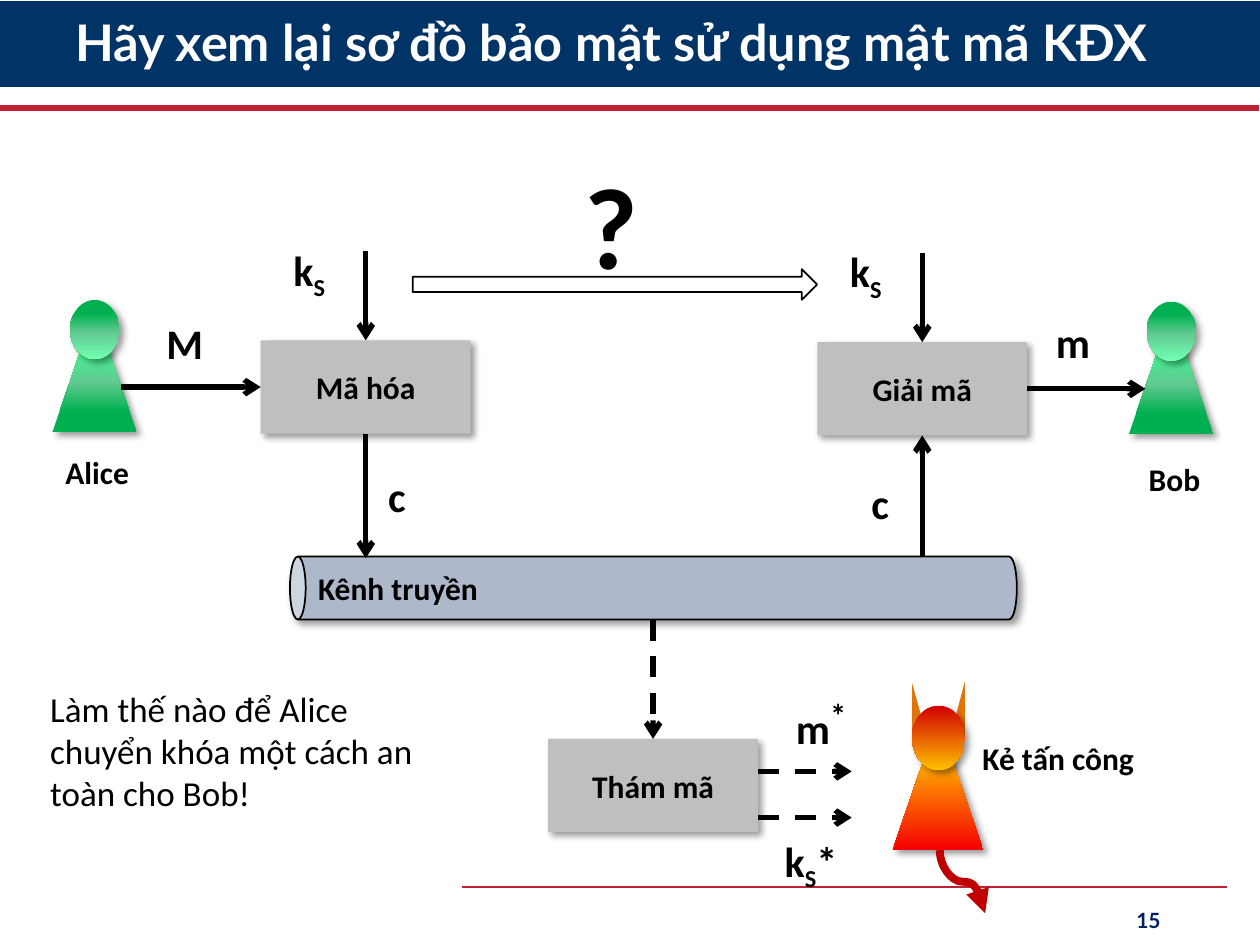
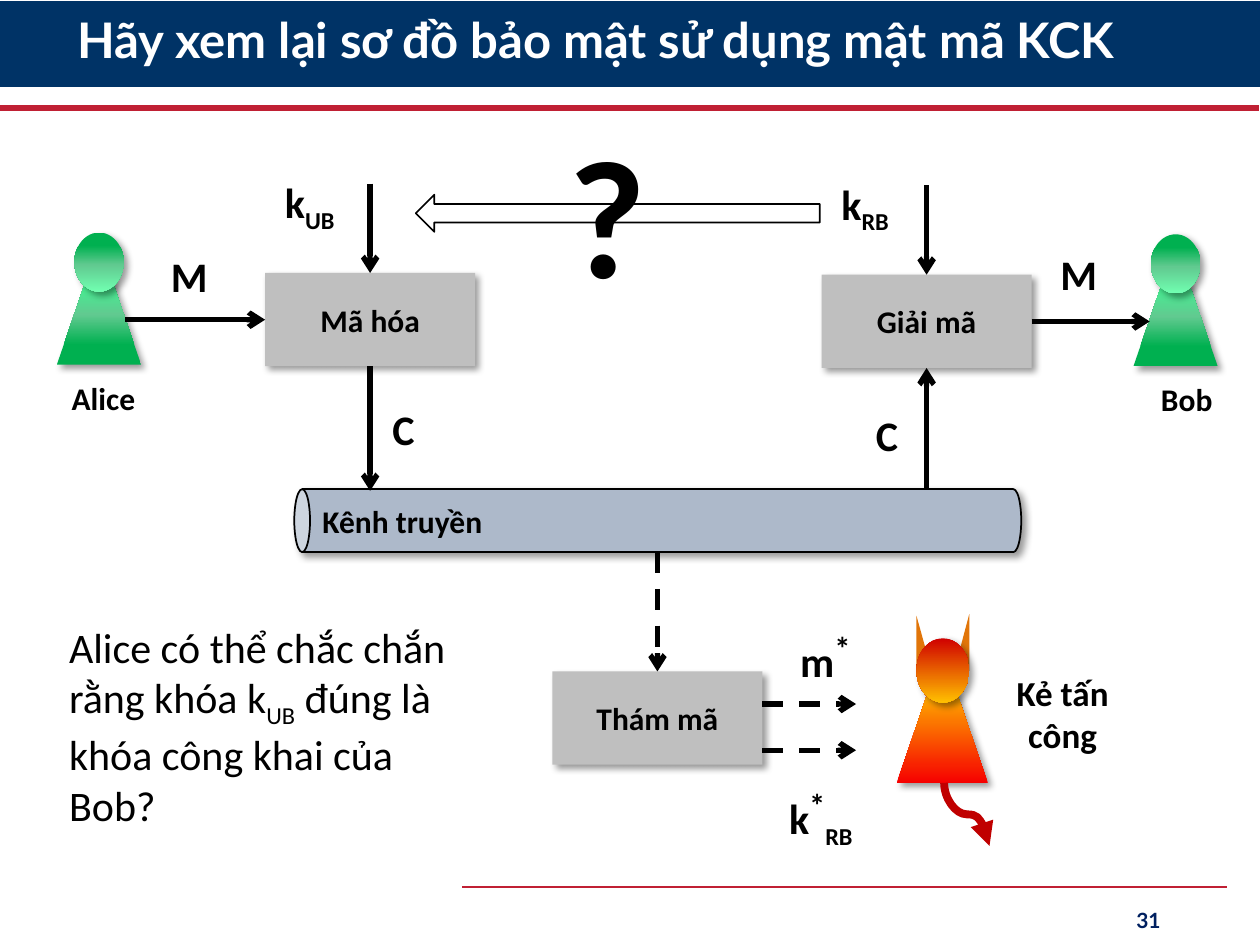
from pptx import Presentation
from pptx.dml.color import RGBColor
from pptx.enum.dml import MSO_LINE
from pptx.enum.shapes import MSO_CONNECTOR as Connector, MSO_SHAPE as Preset
from pptx.enum.text import MSO_ANCHOR as Anchor, PP_ALIGN as Align
from pptx.oxml import parse_xml
from pptx.oxml.ns import nsdecls, qn
from pptx.util import Pt

NAVY = RGBColor(0x00, 0x33, 0x66)
RED = RGBColor(0xC0, 0x20, 0x34)
NUMBER_BLUE = RGBColor(0x00, 0x20, 0x60)
WHITE = RGBColor(0xFF, 0xFF, 0xFF)
BLACK = RGBColor(0x00, 0x00, 0x00)
GRAY = RGBColor(0xBF, 0xBF, 0xBF)
CHANNEL_BLUE = RGBColor(0xAD, 0xB9, 0xCA)
HORN_ORANGE = RGBColor(0xE1, 0x75, 0x09)
TAIL_RED = RGBColor(0xC0, 0x00, 0x00)
GREEN = RGBColor(0x00, 0xB0, 0x50)
PALE_GREEN = RGBColor(0x61, 0xCA, 0x90)
BODY_MINT = RGBColor(0x3B, 0xFF, 0x94)
HEAD_MINT = RGBColor(0x71, 0xFF, 0xB1)
BODY_RED = RGBColor(0xF6, 0x00, 0x00)
HEAD_RED = RGBColor(0xD0, 0x00, 0x00)
GOLD = RGBColor(0xFF, 0xC0, 0x00)

PERSON_BODY = [(22, GREEN), (55, PALE_GREEN), (100, BODY_MINT)]
PERSON_HEAD = [(22, GREEN), (55, PALE_GREEN), (100, HEAD_MINT)]
ATTACKER_BODY = [(0, BODY_RED), (100, GOLD)]
ATTACKER_HEAD = [(0, HEAD_RED), (100, GOLD)]

BODY_FONT = "Calibri"
TITLE_FONT = "Lato"
BOX_WIDTH, BOX_HEIGHT = 120, 53.3
SUB, SUPER = -25, 30


def add_runs(paragraph, runs, size, color=BLACK, bold=True, font=BODY_FONT):
    for text, baseline, run_size in runs:
        run = paragraph.add_run()
        run.text = text
        run.font.name = font
        run.font.size = Pt(run_size or size)
        run.font.bold = bold
        run.font.color.rgb = color
        if baseline:
            run._r.get_or_add_rPr().set("baseline", str(baseline * 1000))


def plain(text):
    return [(text, 0, None)]


def add_text(slide, box, runs, size, align=Align.LEFT, anchor=Anchor.TOP, **style):
    shape = slide.shapes.add_textbox(*map(Pt, box))
    frame = shape.text_frame
    frame.word_wrap = True
    frame.vertical_anchor = anchor
    paragraph = frame.paragraphs[0]
    paragraph.alignment = align
    add_runs(paragraph, runs, size, **style)
    return paragraph


def add_shadow(shape):
    effects = shape._element.spPr.find(qn("a:effectLst"))
    effects.append(parse_xml(
        f'<a:outerShdw {nsdecls("a")} blurRad="{Pt(4)}" dist="{Pt(3)}" dir="2700000" '
        'algn="tl" rotWithShape="0"><a:srgbClr val="000000"><a:alpha val="40000"/>'
        '</a:srgbClr></a:outerShdw>'))


def fill_gradient(shape, stops, angle):
    shape.fill.gradient()
    properties = shape._element.spPr
    marks = "".join(f'<a:gs pos="{position * 1000}"><a:srgbClr val="{color}"/></a:gs>'
                    for position, color in stops)
    properties.replace(properties.find(qn("a:gradFill")), parse_xml(
        f'<a:gradFill {nsdecls("a")} rotWithShape="1"><a:gsLst>{marks}</a:gsLst>'
        f'<a:lin ang="{angle * 60000}" scaled="0"/></a:gradFill>'))


def add_preset(slide, preset, box, fill=None, outline=None, shadow=False):
    shape = slide.shapes.add_shape(preset, *map(Pt, box))
    shape.shadow.inherit = False
    if fill is None:
        shape.fill.background()
    else:
        shape.fill.solid()
        shape.fill.fore_color.rgb = fill
    if outline is None:
        shape.line.fill.background()
    else:
        shape.line.color.rgb = outline
        shape.line.width = Pt(1)
    if shadow:
        add_shadow(shape)
    return shape


def add_line(slide, start, end, color=BLACK, width=3, head=None, dashed=False,
             kind=Connector.STRAIGHT):
    line = slide.shapes.add_connector(kind, *map(Pt, start + end))
    line.line.color.rgb = color
    line.line.width = Pt(width)
    if dashed:
        line.line.dash_style = MSO_LINE.DASH
    if head:
        line.line._get_or_add_ln().append(
            parse_xml(f'<a:tailEnd {nsdecls("a")} type="{head}"/>'))
    line._element.spPr.append(parse_xml(f'<a:effectLst {nsdecls("a")}/>'))
    return line


def add_frame(slide, title, title_box, title_size, number):
    add_preset(slide, Preset.RECTANGLE, (0, 0.7, 720, 49), NAVY)
    add_line(slide, (-0.7, 61.9), (719.3, 61.9), RED, 3.5)
    add_line(slide, (264.2, 506.9), (701.3, 506.9), RED, 1.5)
    paragraph = add_text(slide, title_box, plain(title), title_size,
                         anchor=Anchor.MIDDLE, color=WHITE, font=TITLE_FONT)
    paragraph.line_spacing = 0.9
    add_text(slide, (508.3, 511.2, 162, 28.8), plain(number), 12, Align.RIGHT,
             Anchor.MIDDLE, color=NUMBER_BLUE, font=TITLE_FONT)


def add_gradient_part(slide, preset, box, stops, angle):
    shape = add_preset(slide, preset, box, GREEN, shadow=True)
    fill_gradient(shape, stops, angle)
    if preset == Preset.TRAPEZOID:
        shape.adjustments[0] = 0.371


def add_person(slide, left, top):
    add_gradient_part(slide, Preset.TRAPEZOID, (left, top + 23.7, 48.2, 51.8), PERSON_BODY, 270)
    add_gradient_part(slide, Preset.OVAL, (left + 10, top, 28.2, 33.8), PERSON_HEAD, 90)


def add_attacker(slide, left, top):
    add_preset(slide, Preset.RIGHT_TRIANGLE, (left + 11.2, top + 1, 8.6, 31), HORN_ORANGE)
    horn = add_preset(slide, Preset.RIGHT_TRIANGLE, (left + 32.8, top, 8.6, 32.4), HORN_ORANGE)
    horn._element.spPr.xfrm.set("flipH", "1")
    add_gradient_part(slide, Preset.TRAPEZOID, (left, top + 40.3, 52, 56.2), ATTACKER_BODY, 270)
    add_gradient_part(slide, Preset.OVAL, (left + 11.2, top + 13.9, 30.2, 36.7), ATTACKER_HEAD, 90)
    tail = add_line(slide, (left + 22, top + 101.5), (left + 58, top + 127.4),
                    TAIL_RED, 4.5, "triangle", kind=Connector.CURVE)
    transform = tail._element.spPr.xfrm
    transform.set("rot", "16200000")
    transform.set("flipH", "1")


def add_process(slide, left, top, name):
    shape = add_preset(slide, Preset.RECTANGLE, (left, top, BOX_WIDTH, BOX_HEIGHT),
                       GRAY, shadow=True)
    paragraph = shape.text_frame.paragraphs[0]
    paragraph.alignment = Align.CENTER
    add_runs(paragraph, plain(name), 18)


def add_channel(slide, left, top, width, height):
    shift = (width - height) / 2
    shape = add_preset(slide, Preset.CAN, (left + shift, top - shift, height, width),
                       CHANNEL_BLUE, BLACK, True)
    shape.rotation = 270
    frame = shape.text_frame
    frame._txBody.bodyPr.set("vert", "eaVert")
    paragraph = frame.paragraphs[0]
    paragraph.alignment = Align.CENTER
    add_runs(paragraph, plain("Kênh truyền"), 18)


def add_cipher_diagram(slide, left, top, letters, names, attacker_size):
    def at(x, y):
        return left + x, top + y

    add_person(slide, *at(0, 28.4))
    add_person(slide, *at(615.2, 29.4))
    add_process(slide, *at(119, 51.5), "Mã hóa")
    add_process(slide, *at(437, 52.5), "Giải mã")
    add_channel(slide, *at(135.7, 175), 415.4, 36)
    add_process(slide, *at(283.2, 279.2), "Thám mã")
    add_attacker(slide, *at(480, 246.4))

    arrows = [
        ((39, 78.2), (119, 78.2), False),
        ((179, 0.5), (179, 51.5), False),
        ((179, 104.8), (179, 176), False),
        ((497, 1.5), (497, 52.5), False),
        ((497, 175), (497, 105.8), False),
        ((557, 79.2), (624.5, 79.2), False),
        ((343.2, 211), (343.2, 279.2), True),
        ((403.2, 297.8), (456.7, 297.8), True),
        ((403.2, 324.2), (456.7, 324.2), True),
    ]
    for start, end, dashed in arrows:
        add_line(slide, at(*start), at(*end), head="arrow", dashed=dashed)

    for (x, y), runs in letters:
        add_text(slide, (*at(x, y), 70, 36), runs, 24)
    for (x, y), name in names:
        add_text(slide, (*at(x, y), 106.6, 28.8), plain(name), 18, Align.CENTER)
    add_text(slide, (*at(521.4, 275.5), 106.6, 53), plain("Kẻ tấn công"),
             attacker_size, Align.CENTER)


def diagram_letters(message, received, cipher, keys, key_left, guess, guess_top):
    encrypt_key, decrypt_key = keys
    return [
        ((58, 35), plain(message)),
        ((566.3, 34.1), plain(received)),
        ((184.7, 122.6), plain(cipher)),
        ((460.9, 126.2), plain(cipher)),
        ((key_left, -7), [("k", 0, None), (encrypt_key, SUB, None)]),
        ((key_left + 318, -6.2), [("k", 0, None), (decrypt_key, SUB, None)]),
        ((417.7, 247), [("m", 0, None), ("*", SUPER, 32)]),
        ((411.3, guess_top), guess),
    ]


def add_question(slide, preset, arrow_box, mark_box, mark_size, note_box, note, note_size):
    add_preset(slide, preset, arrow_box, outline=BLACK)
    add_text(slide, mark_box, plain("?"), mark_size)
    add_text(slide, note_box, note, note_size, bold=False)


def build_symmetric_slide(slide):
    add_frame(slide, "Hãy xem lại sơ đồ bảo mật sử dụng mật mã KĐX",
              (36, 0, 648, 51.8), 28.8, "15")
    guess = [("k", 0, None), ("S", SUB, None), ("*", 0, None)]
    letters = diagram_letters("M", "m", "c", ("S", "S"), 130.6, guess, 330.8)
    names = [((-27.8, 112.6), "Alice"), ((587.8, 116.2), "Bob")]
    add_cipher_diagram(slide, 30, 143, letters, names, 18)
    add_question(slide, Preset.RIGHT_ARROW, (235.8, 153.8, 231.1, 17.5),
                 (326.9, 84.2, 49, 87), 66, (21.6, 389.5, 247.7, 80),
                 plain("Làm thế nào để Alice chuyển khóa một cách an toàn cho Bob!"), 20)


def build_public_key_slide(slide):
    add_frame(slide, "Hãy xem lại sơ đồ bảo mật sử dụng mật mã KCK",
              (37.4, -1.4, 648, 51.8), 28, "31")
    guess = [("k", 0, None), ("*", SUPER, 32), ("RB", SUB, None)]
    letters = diagram_letters("M", "M", "C", ("UB", "RB"), 123.2, guess, 336.9)
    names = [((-26.7, 108.6), "Alice"), ((592.3, 109.3), "Bob")]
    add_cipher_diagram(slide, 32.5, 104.5, letters, names, 20)
    note = [("Alice có thể chắc chắn rằng khóa k", 0, None), ("UB", SUB, None),
            (" đúng là khóa công khai của Bob?", 0, None)]
    add_question(slide, Preset.LEFT_ARROW, (237.6, 111.3, 230.8, 21.2),
                 (317.5, 59.8, 70.6, 123.8), 96, (32.4, 351.4, 249.8, 123.8), note, 24)


def main():
    presentation = Presentation()
    presentation.slide_width = Pt(720)
    presentation.slide_height = Pt(540)
    blank = presentation.slide_layouts[6]
    for build in (build_symmetric_slide, build_public_key_slide):
        build(presentation.slides.add_slide(blank))
    presentation.save("out.pptx")


if __name__ == "__main__":
    main()
